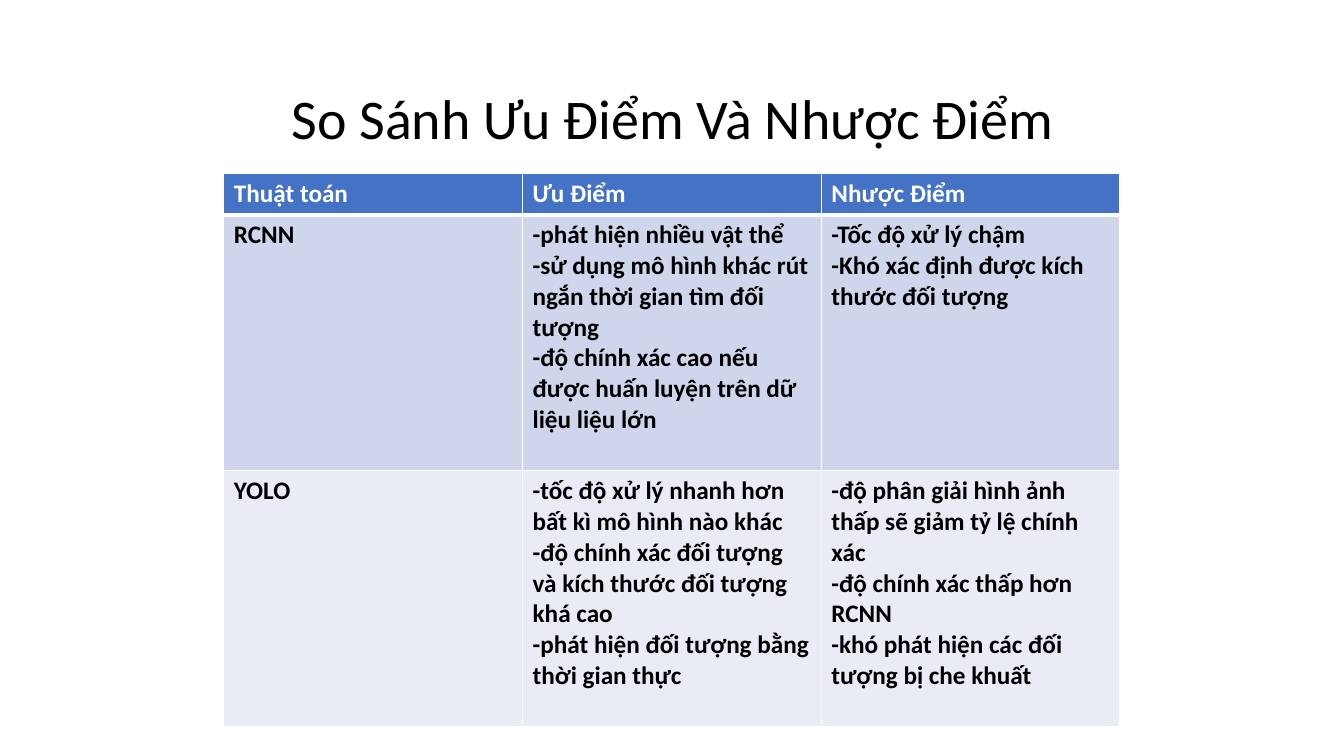
from lxml import etree
from pptx import Presentation
from pptx.dml.color import RGBColor
from pptx.enum import text
from pptx.oxml import ns
from pptx.util import Inches, Pt

FONT = "Calibri"
BLACK = RGBColor(0x00, 0x00, 0x00)
WHITE = RGBColor(0xFF, 0xFF, 0xFF)
HEADER_BLUE = RGBColor(0x44, 0x72, 0xC4)
BAND_DARK = RGBColor(0xCF, 0xD5, 0xEA)
BAND_LIGHT = RGBColor(0xE9, 0xEB, 0xF5)

COLUMN_WIDTH = 2.963
ROWS = [
    (0.41, HEADER_BLUE, WHITE, [["Thuật toán"], ["Ưu Điểm"], ["Nhược Điểm"]]),
    (2.54, BAND_DARK, BLACK, [
        ["RCNN"],
        ["-phát hiện nhiều vật thể",
         "-sử dụng mô hình khác rút ngắn thời gian tìm đối tượng",
         "-độ chính xác cao nếu được huấn luyện trên dữ liệu liệu lớn"],
        ["-Tốc độ xử lý chậm",
         "-Khó xác định được kích thước đối tượng"],
    ]),
    (2.54, BAND_LIGHT, BLACK, [
        ["YOLO"],
        ["-tốc độ xử lý nhanh hơn bất kì mô hình nào khác",
         "-độ chính xác đối tượng và kích thước đối tượng khá cao",
         "-phát hiện đối tượng bằng thời gian thực"],
        ["-độ phân giải hình ảnh thấp sẽ giảm tỷ lệ chính xác",
         "-độ chính xác thấp hơn RCNN",
         "-khó phát hiện các đối tượng bị che khuất"],
    ]),
]


def add_run(paragraph, words, size, color, bold=False):
    """Add one styled run to a paragraph."""
    run = paragraph.add_run()
    run.text = words
    run.font.name = FONT
    run.font.size = Pt(size)
    run.font.bold = bold
    run.font.color.rgb = color


def add_title(slide, words):
    """Add the centred title, resting on the bottom of its box."""
    box = slide.shapes.add_textbox(Inches(1.67), Inches(0.2), Inches(10), Inches(1.35))
    frame = box.text_frame
    frame.word_wrap = True
    frame.vertical_anchor = text.MSO_ANCHOR.BOTTOM
    paragraph = frame.paragraphs[0]
    paragraph.alignment = text.PP_ALIGN.CENTER
    paragraph.line_spacing = 0.9
    add_run(paragraph, words, 40, BLACK)


def set_borders(cell, widths):
    """Draw white borders with the given left, right, top and bottom widths."""
    properties = cell._tc.get_or_add_tcPr()
    for side, width in zip("LRTB", widths):
        line = etree.SubElement(properties, ns.qn(f"a:ln{side}"), w=str(Pt(width)))
        fill = etree.SubElement(line, ns.qn("a:solidFill"))
        etree.SubElement(fill, ns.qn("a:srgbClr"), val=str(WHITE))


def fill_cell(cell, lines, fill_color, text_color, border_widths):
    """Write the lines of a cell and set its fill and borders."""
    set_borders(cell, border_widths)
    cell.fill.solid()
    cell.fill.fore_color.rgb = fill_color
    frame = cell.text_frame
    for index, line in enumerate(lines):
        paragraph = frame.add_paragraph() if index else frame.paragraphs[0]
        add_run(paragraph, line, 18, text_color, bold=True)


def add_comparison_table(slide):
    """Add the table of strengths and weaknesses."""
    column_count = len(ROWS[0][3])
    height = sum(row[0] for row in ROWS)
    table = slide.shapes.add_table(
        len(ROWS), column_count, Inches(2.22), Inches(1.72),
        Inches(COLUMN_WIDTH * column_count), Inches(height)).table
    for column in table.columns:
        column.width = Inches(COLUMN_WIDTH)
    for row_index, (row_height, fill_color, text_color, cells) in enumerate(ROWS):
        table.rows[row_index].height = Inches(row_height)
        top = 3 if row_index == 1 else 1
        bottom = 3 if row_index == 0 else 1
        for column_index, lines in enumerate(cells):
            fill_cell(table.cell(row_index, column_index), lines,
                      fill_color, text_color, (1, 1, top, bottom))


def main():
    """Build the slide and save it."""
    presentation = Presentation()
    presentation.slide_width = Inches(13.33)
    presentation.slide_height = Inches(7.5)
    slide = presentation.slides.add_slide(presentation.slide_layouts[6])
    add_title(slide, "So Sánh Ưu Điểm Và Nhược Điểm")
    add_comparison_table(slide)
    presentation.save("out.pptx")


if __name__ == "__main__":
    main()
